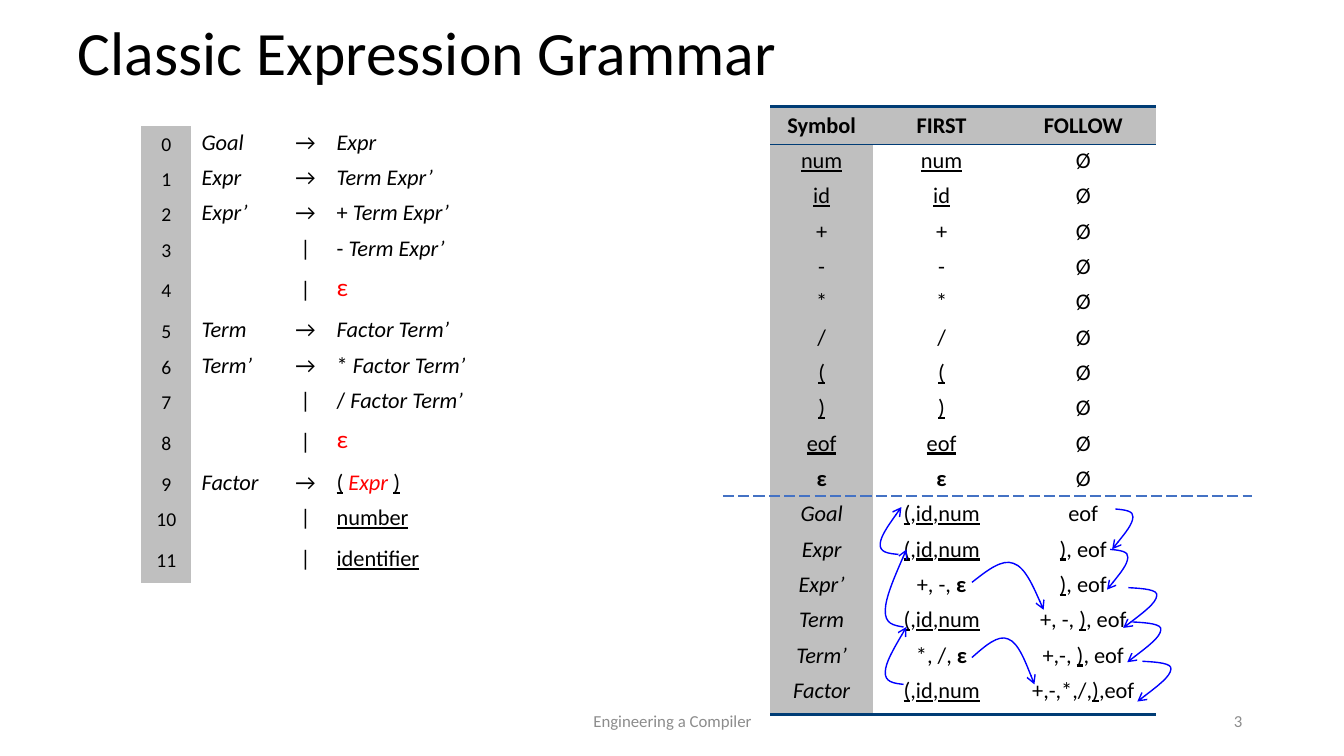
from dataclasses import dataclass

from lxml.etree import SubElement
from pptx import Presentation
from pptx.dml.color import RGBColor
from pptx.enum.dml import MSO_LINE
from pptx.enum.shapes import MSO_CONNECTOR
from pptx.enum.text import MSO_ANCHOR, PP_ALIGN
from pptx.oxml.ns import qn
from pptx.util import Emu, Inches, Pt

SLIDE_WIDTH, SLIDE_HEIGHT = Inches(13.33), Inches(7.5)
FONT = "Calibri"
PLAIN_TABLE_STYLE = "{2D5ABB26-0587-4C30-8999-92F81FD0307C}"
COLORS = {
    "text": "000000", "epsilon": "FF0000", "muted": "8C8C8C", "band": "BFBFBF",
    "paper": "FFFFFF", "rule": "003C75", "flow": "0000FF", "divider": "4472C4",
}


@dataclass(frozen=True)
class Span:
    text: str
    style: str = ""
    size: int = 16
    color: str = "text"


@dataclass(frozen=True)
class Box:
    left: float
    top: float
    width: float
    height: float


@dataclass(frozen=True)
class Flow:
    curve: tuple
    box: Box


@dataclass(frozen=True)
class Label:
    text: str
    box: Box
    align: PP_ALIGN


EPSILON = (Span("ε", size=18, color="epsilon"),)
BOLD_EPSILON = Span("ε", "b")
OPEN, CLOSE = Span("(", "u"), Span(")", "u")
COMMA, COMMA_EOF = Span(","), Span(", eof")
TERM_EXPR, FACTOR_TERM = Span("Term Expr’", "i"), Span("Factor Term’", "i")
PRODUCTIONS = (
    ("Goal", (Span("Expr", "i"),)),
    ("Expr", (TERM_EXPR,)),
    ("Expr’", (Span("+ "), TERM_EXPR)),
    ("", (Span("- "), TERM_EXPR)),
    ("", EPSILON),
    ("Term", (FACTOR_TERM,)),
    ("Term’", (Span("* "), FACTOR_TERM)),
    ("", (Span("/ "), FACTOR_TERM)),
    ("", EPSILON),
    ("Factor", (OPEN, Span(" "), Span("Expr ", "i", color="epsilon"), CLOSE)),
    ("", (Span("number", "u"),)),
    ("", (Span("identifier", "u"),)),
)
TERMINALS = (
    Span("num", "u"), Span("id", "u"), Span("+"), Span("-"), Span("*"), Span("/"),
    OPEN, CLOSE, Span("eof", "u"), BOLD_EPSILON,
)
OPERAND_FIRST = (OPEN, COMMA, Span("id", "u"), COMMA, Span("num", "u"))
NONTERMINALS = (
    ("Goal", OPERAND_FIRST, (Span("eof"),)),
    ("Expr", OPERAND_FIRST, (CLOSE, COMMA_EOF)),
    ("Expr’", (Span("+, -, "), BOLD_EPSILON), (CLOSE, COMMA_EOF)),
    ("Term", OPERAND_FIRST, (Span("+, -, "), CLOSE, COMMA_EOF)),
    ("Term’", (Span("*, /, "), BOLD_EPSILON), (Span("+,-, "), CLOSE, COMMA_EOF)),
    ("Factor", OPERAND_FIRST, (Span("+,-,*,/,"), CLOSE, Span(",eof"))),
)

FIRST_HOOK = ((0.86, 1), (0.38, 0.98), (-0.03, 0.96), (0, 0.78), (0.02, 0.62), (0.5, 0.31), (1, 0))
FOLLOW_HOOK = ((0.15, 0), (0.6, 0.02), (1.02, 0.05), (0.98, 0.2), (0.96, 0.38), (0.48, 0.69), (0, 1))
ARCH = ((0, 0.42), (0.21, 0.17), (0.42, -0.08), (0.58, 0.02), (0.75, 0.1), (0.99, 0.96), (1, 1))
FLOWS = (
    Flow(FIRST_HOOK, Box(65.87, 82.93, 1.58, 7.6)),
    Flow(FIRST_HOOK, Box(65.87, 72.67, 1.58, 10.27)),
    Flow(FIRST_HOOK, Box(65.49, 67.07, 1.58, 6.27)),
    Flow(FOLLOW_HOOK, Box(82.75, 67.33, 1.58, 5.33)),
    Flow(FOLLOW_HOOK, Box(82.37, 72.67, 1.58, 5.33)),
    Flow(ARCH, Box(72.32, 74.4, 5.33, 6.27)),
    Flow(FOLLOW_HOOK, Box(83.57, 77.73, 2.55, 5.33)),
    Flow(FOLLOW_HOOK, Box(83.87, 82.27, 2.55, 5.33)),
    Flow(ARCH, Box(72.32, 84.4, 4.65, 6.13)),
    Flow(FOLLOW_HOOK, Box(84.62, 87.47, 2.55, 5.33)),
)
LABELS = (
    Label("Engineering a Compiler", Box(33.16, 92.67, 33.76, 5.33), PP_ALIGN.CENTER),
    Label("3", Box(70.67, 92.67, 22.51, 5.33), PP_ALIGN.RIGHT),
)


def across(percent: float) -> Emu:
    return Emu(round(SLIDE_WIDTH * percent / 100))


def down(percent: float) -> Emu:
    return Emu(round(SLIDE_HEIGHT * percent / 100))


def place(box: Box) -> tuple:
    return across(box.left), down(box.top), across(box.width), down(box.height)


def rgb(name: str) -> RGBColor:
    return RGBColor.from_string(COLORS[name])


def write(paragraph, spans: tuple, align=PP_ALIGN.LEFT, spacing=None) -> None:
    paragraph.alignment = align
    paragraph.line_spacing = spacing
    for span in spans:
        run = paragraph.add_run()
        run.text = span.text
        run.font.name, run.font.size = FONT, Pt(span.size)
        run.font.color.rgb = rgb(span.color)
        run.font.bold = "b" in span.style
        run.font.italic = "i" in span.style
        run.font.underline = "u" in span.style


def add_grid(slide, left: float, top: float, widths: tuple, heights: tuple):
    frame = slide.shapes.add_table(
        len(heights), len(widths), *place(Box(left, top, sum(widths), sum(heights))))
    table = frame.table
    table.first_row = table.horz_banding = False
    table._tbl.tblPr.find(qn("a:tableStyleId")).text = PLAIN_TABLE_STYLE
    for column, width in zip(table.columns, widths):
        column.width = across(width)
    for row, height in zip(table.rows, heights):
        row.height = down(height)
    return table


def fill_cell(cell, spans: tuple, color: str, align=PP_ALIGN.CENTER, spacing=Pt(18)) -> None:
    cell.fill.solid()
    cell.fill.fore_color.rgb = rgb(color)
    write(cell.text_frame.paragraphs[0], spans, align, spacing)


def add_border(cell, side: str, points: float) -> None:
    properties = cell._tc.get_or_add_tcPr()
    border = SubElement(properties, qn(f"a:{side}"), w=str(Pt(points)))
    paint = SubElement(border, qn("a:solidFill"))
    SubElement(paint, qn("a:srgbClr"), val=COLORS["rule"])
    properties.insert(0, border)


def add_grammar(slide) -> None:
    heights = tuple(4.67 if name else 4.95 for name, _ in PRODUCTIONS)
    table = add_grid(slide, 10.5, 16.67, (3.75, 6.9, 3.15, 13.13), heights)
    for index, (name, body) in enumerate(PRODUCTIONS):
        number, symbol, arrow, expansion = table.rows[index].cells
        fill_cell(number, (Span(str(index), size=14),), "band")
        fill_cell(symbol, (Span(name, "i"),) if name else (), "paper", PP_ALIGN.LEFT)
        fill_cell(arrow, (Span("→" if name else "|"),), "paper")
        fill_cell(expansion, body, "paper", PP_ALIGN.LEFT)


def add_symbol_sets(slide) -> None:
    rows = [((terminal,), (terminal,), (Span("Ø"),)) for terminal in TERMINALS]
    rows += [((Span(name, "i"),), first, follow) for name, first, follow in NONTERMINALS]
    heights = (4.94,) + (4.67,) * (len(rows) - 1) + (5.33,)
    table = add_grid(slide, 57.31, 14.13, (7.65, 10.2, 10.88), heights)
    for cell, heading in zip(table.rows[0].cells, ("Symbol", "FIRST", "FOLLOW")):
        fill_cell(cell, (Span(heading, "b"),), "band", spacing=None)
        add_border(cell, "lnB", 1)
        add_border(cell, "lnT", 2.25)
    for index, row in enumerate(rows, start=1):
        for column, spans in enumerate(row):
            fill_cell(table.cell(index, column), spans, "paper" if column else "band")
    for cell in table.rows[len(rows)].cells:
        add_border(cell, "lnB", 2.25)


def add_flow(slide, flow: Flow) -> None:
    left, top, width, height = place(flow.box)
    start, *controls = [(round(left + width * x), round(top + height * y)) for x, y in flow.curve]
    builder = slide.shapes.build_freeform(*start)
    builder.add_line_segments(controls, close=False)
    arrow = builder.convert_to_shape()
    arrow.shadow.inherit = False
    arrow.fill.background()
    arrow.line.color.rgb = rgb("flow")
    arrow.line.width = Pt(1)
    SubElement(arrow.line._get_or_add_ln(), qn("a:tailEnd"), type="arrow")
    outline = arrow._element.spPr.find(".//" + qn("a:path"))
    segments = outline.findall(qn("a:lnTo"))
    for first in range(0, len(segments), 3):
        bezier = SubElement(outline, qn("a:cubicBezTo"))
        for segment in segments[first:first + 3]:
            bezier.append(segment[0])
            outline.remove(segment)


def add_divider(slide) -> None:
    divider = slide.shapes.add_connector(
        MSO_CONNECTOR.STRAIGHT, across(53.79), down(65.6), across(93.17), down(65.6))
    divider.line.color.rgb = rgb("divider")
    divider.line.width = Pt(1)
    divider.line.dash_style = MSO_LINE.LONG_DASH
    SubElement(divider._element.spPr, qn("a:effectLst"))


def add_label(slide, label: Label) -> None:
    frame = slide.shapes.add_textbox(*place(label.box)).text_frame
    frame.word_wrap = True
    frame.vertical_anchor = MSO_ANCHOR.MIDDLE
    write(frame.paragraphs[0], (Span(label.text, size=12, color="muted"),), label.align)


def main() -> None:
    presentation = Presentation()
    presentation.slide_width, presentation.slide_height = SLIDE_WIDTH, SLIDE_HEIGHT
    slide = presentation.slides.add_slide(presentation.slide_layouts[5])
    title = slide.shapes.title
    title.left, title.top, title.width, title.height = place(Box(5.03, -0.93, 90.02, 16.67))
    title.text_frame.vertical_anchor = MSO_ANCHOR.MIDDLE
    write(title.text_frame.paragraphs[0], (Span("Classic Expression Grammar", size=44),), spacing=0.9)
    add_grammar(slide)
    add_symbol_sets(slide)
    for label in LABELS:
        add_label(slide, label)
    for flow in FLOWS:
        add_flow(slide, flow)
    add_divider(slide)
    presentation.save("out.pptx")


if __name__ == "__main__":
    main()
